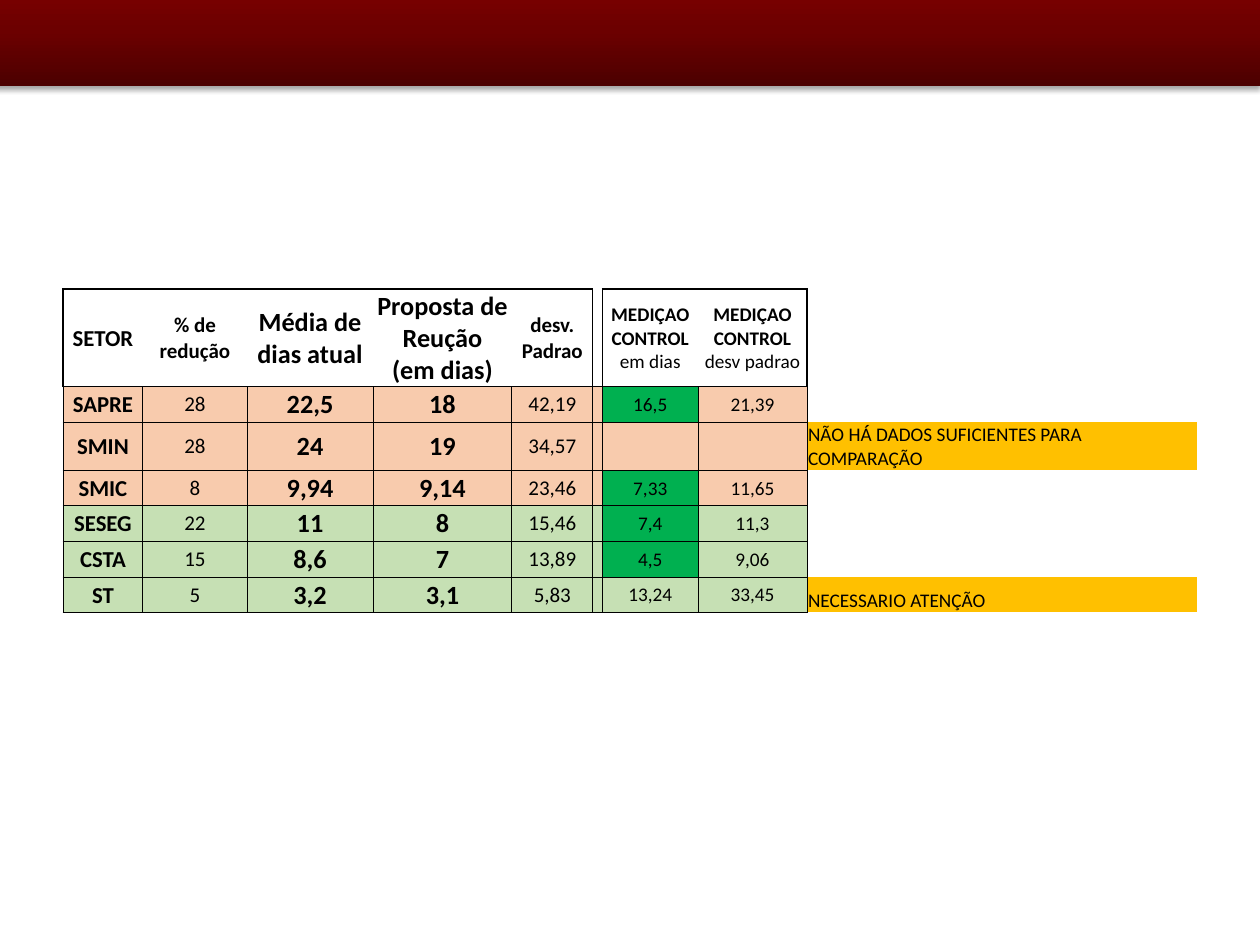
from dataclasses import dataclass

from lxml.etree import SubElement
from pptx import Presentation
from pptx.dml.color import RGBColor
from pptx.enum.shapes import MSO_SHAPE
from pptx.enum.text import MSO_ANCHOR, PP_ALIGN
from pptx.oxml import parse_xml
from pptx.oxml.ns import nsdecls, qn
from pptx.util import Cm, Pt


@dataclass(frozen=True)
class Theme:
    font: str = "Calibri"
    ink: str = "000000"
    paper: str = "FFFFFF"
    peach: str = "F8CBAD"
    green: str = "C6E0B4"
    reached: str = "00B050"
    warning: str = "FFC000"
    banner: tuple = ((0, "4C0000"), (50, "6C0000"), (100, "800000"))
    sector: int = 13
    detail: int = 12
    key: int = 15
    control: int = 11
    thin: float = 0.5
    thick: float = 1


THEME = Theme()
GAP, CONTROL, CONTROL_DEVIATION, REMARK = 5, 6, 7, 8
COLUMN_WIDTHS = (1.61, 2.1, 2.54, 2.8, 1.63, 0.2, 1.92, 2.2, 7.86)
COLUMN_SIZES = (THEME.sector, THEME.detail, THEME.key, THEME.key, THEME.detail) + (THEME.control,) * 4
BOLD_COLUMNS = (0, 2, 3)
HEADINGS = (
    "SETOR", "% de redução", "Média de dias atual", "Proposta de Reução\n(em dias)",
    "desv. Padrao", "", "MEDIÇAO CONTROL\nem dias", "MEDIÇAO CONTROL\ndesv padrao", "",
)
SECTORS = (
    (THEME.peach, 0.71, ("SAPRE", "28", "22,5", "18", "42,19", "", "16,5", "21,39", "")),
    (THEME.peach, 0.71, ("SMIN", "28", "24", "19", "34,57", "", "", "",
                         "NÃO HÁ DADOS SUFICIENTES PARA COMPARAÇÃO")),
    (THEME.peach, 0.71, ("SMIC", "8", "9,94", "9,14", "23,46", "", "7,33", "11,65", "")),
    (THEME.green, 0.71, ("SESEG", "22", "11", "8", "15,46", "", "7,4", "11,3", "")),
    (THEME.green, 0.73, ("CSTA", "15", "8,6", "7", "13,89", "", "4,5", "9,06", "")),
    (THEME.green, 0.71, ("ST", "5", "3,2", "3,1", "5,83", "", "13,24", "33,45",
                         "NECESSARIO ATENÇÃO")),
)
REACHED_SECTORS = ("SAPRE", "SMIC", "SESEG", "CSTA")


def add_block(slide, left, top, width, height):
    block = slide.shapes.add_shape(MSO_SHAPE.RECTANGLE, Cm(left), Cm(top), Cm(width), Cm(height))
    block.shadow.inherit = False
    block.line.fill.background()
    block.fill.solid()
    block.fill.fore_color.rgb = RGBColor.from_string(THEME.paper)
    return block


def add_banner(slide):
    banner = add_block(slide, -0.1, -0.48, 25.5, 2.21)
    stops = "".join(
        f'<a:gs pos="{position * 1000}"><a:srgbClr val="{color}"/></a:gs>'
        for position, color in THEME.banner
    )
    properties = banner._element.spPr
    gradient = parse_xml(
        f'<a:gradFill {nsdecls("a")} rotWithShape="1"><a:gsLst>{stops}</a:gsLst>'
        '<a:lin ang="16200000" scaled="0"/></a:gradFill>'
    )
    properties.replace(properties.find(qn("a:solidFill")), gradient)
    shadow = parse_xml(
        f'<a:outerShdw {nsdecls("a")} blurRad="{Pt(3.1)}" dist="{Pt(1.8)}" dir="5400000" '
        f'rotWithShape="0"><a:srgbClr val="{THEME.ink}"><a:alpha val="35000"/></a:srgbClr></a:outerShdw>'
    )
    properties.find(qn("a:effectLst")).append(shadow)


def set_borders(cell, **widths):
    properties = cell._tc.get_or_add_tcPr()
    for side in "LRTB":
        width = widths.get(side, 0)
        edge = SubElement(properties, qn(f"a:ln{side}"), w=str(Pt(width)))
        if width:
            ink = SubElement(edge, qn("a:solidFill"))
            SubElement(ink, qn("a:srgbClr"), val=THEME.ink)
        else:
            SubElement(edge, qn("a:noFill"))


def write_cell(cell, text, size, bolds=(False,), align=PP_ALIGN.CENTER, anchor=MSO_ANCHOR.MIDDLE, fill=None):
    cell.margin_left = cell.margin_right = cell.margin_top = Cm(0.02)
    cell.margin_bottom = 0
    cell.vertical_anchor = anchor
    if fill:
        cell.fill.solid()
        cell.fill.fore_color.rgb = RGBColor.from_string(fill)
    else:
        cell.fill.background()
    paragraph = cell.text_frame.paragraphs[0]
    paragraph.alignment = align
    if not text:
        SubElement(paragraph._p, qn("a:endParaRPr"), sz=str(size * 100))
        return
    for index, line in enumerate(text.split("\n")):
        if index:
            paragraph.add_line_break()
        run = paragraph.add_run()
        run.text = line
        run.font.name = THEME.font
        run.font.size = Pt(size)
        run.font.bold = bolds[min(index, len(bolds) - 1)]
        run.font.color.rgb = RGBColor.from_string(THEME.ink)


def fill_header(table):
    for column, heading in enumerate(HEADINGS):
        cell = table.cell(0, column)
        set_borders(
            cell,
            L=THEME.thick if column in (0, GAP, CONTROL, REMARK) else 0,
            R=THEME.thick if column in (GAP - 1, GAP, CONTROL_DEVIATION) else 0,
            T=0 if column in (GAP, REMARK) else THEME.thick,
            B=0 if column == REMARK else THEME.thin,
        )
        bolds = (True, False) if column in (CONTROL, CONTROL_DEVIATION) else (True,)
        write_cell(cell, heading, COLUMN_SIZES[column], bolds=bolds)


def fill_sector(table, row, tint, values):
    for column, value in enumerate(values):
        cell = table.cell(row, column)
        size = COLUMN_SIZES[column]
        if column == REMARK:
            set_borders(cell, L=THEME.thin)
            write_cell(cell, value, size, align=PP_ALIGN.LEFT, anchor=MSO_ANCHOR.BOTTOM,
                       fill=THEME.warning if value else None)
        else:
            set_borders(cell, **dict.fromkeys("LRTB", THEME.thin))
            reached = column == CONTROL and values[0] in REACHED_SECTORS
            write_cell(cell, value, size, bolds=(column in BOLD_COLUMNS,),
                       fill=THEME.reached if reached else tint)


def add_sector_table(slide):
    row_heights = [1.96] + [height for _, height, _ in SECTORS]
    table = slide.shapes.add_table(
        len(row_heights), len(COLUMN_WIDTHS), Cm(1.27), Cm(5.83),
        Cm(sum(COLUMN_WIDTHS)), Cm(sum(row_heights)),
    ).table
    table.first_row = table.horz_banding = False
    for column, width in zip(table.columns, COLUMN_WIDTHS):
        column.width = Cm(width)
    for row, height in zip(table.rows, row_heights):
        row.height = Cm(height)
    fill_header(table)
    for row, (tint, _, values) in enumerate(SECTORS, start=1):
        fill_sector(table, row, tint, values)


def main():
    deck = Presentation()
    deck.slide_width, deck.slide_height = Cm(25.4), Cm(19.05)
    slide = deck.slides.add_slide(deck.slide_layouts[6])
    add_banner(slide)
    add_block(slide, 0, 17.15, 7.49, 1.9)
    add_sector_table(slide)
    deck.save("out.pptx")


if __name__ == "__main__":
    main()
